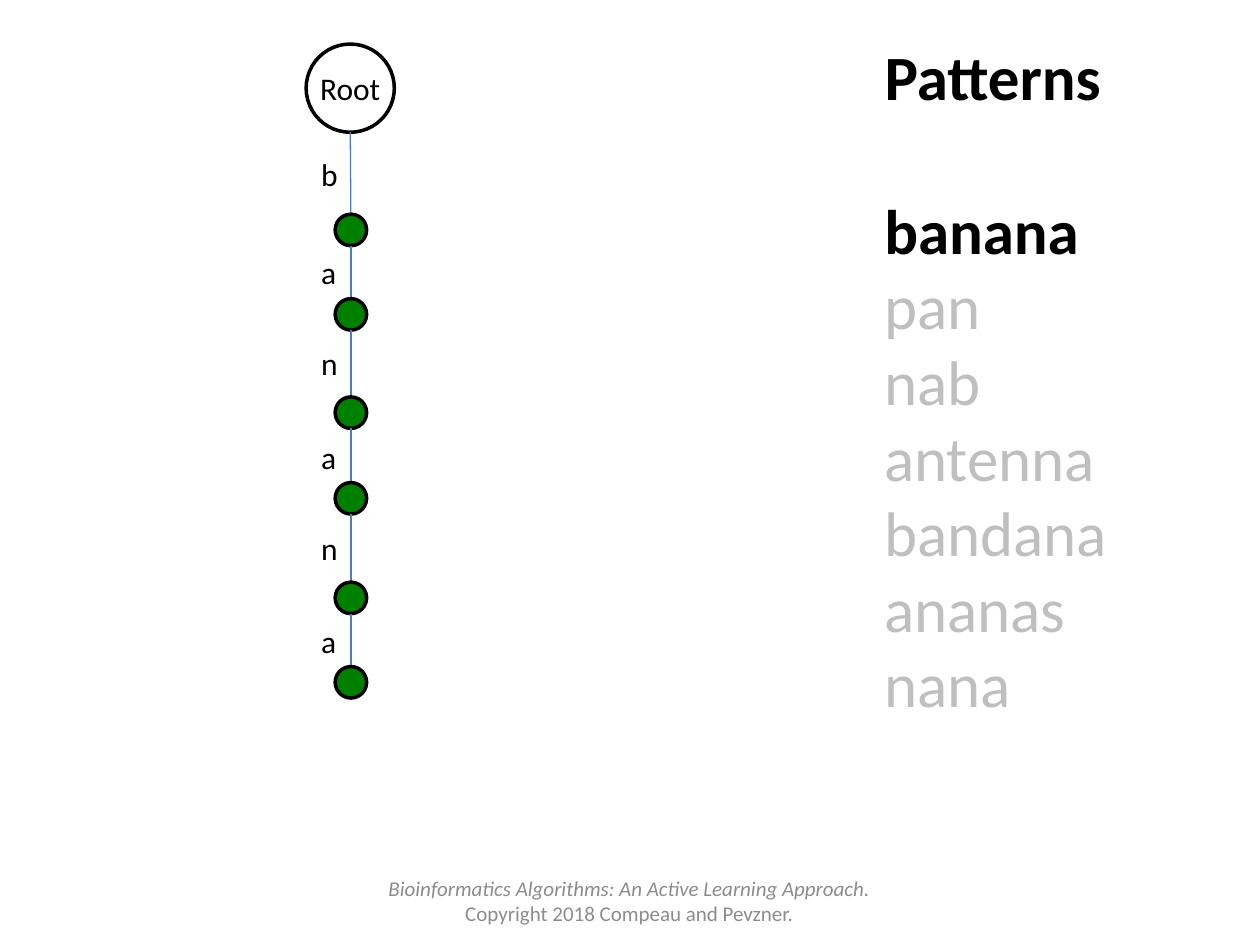
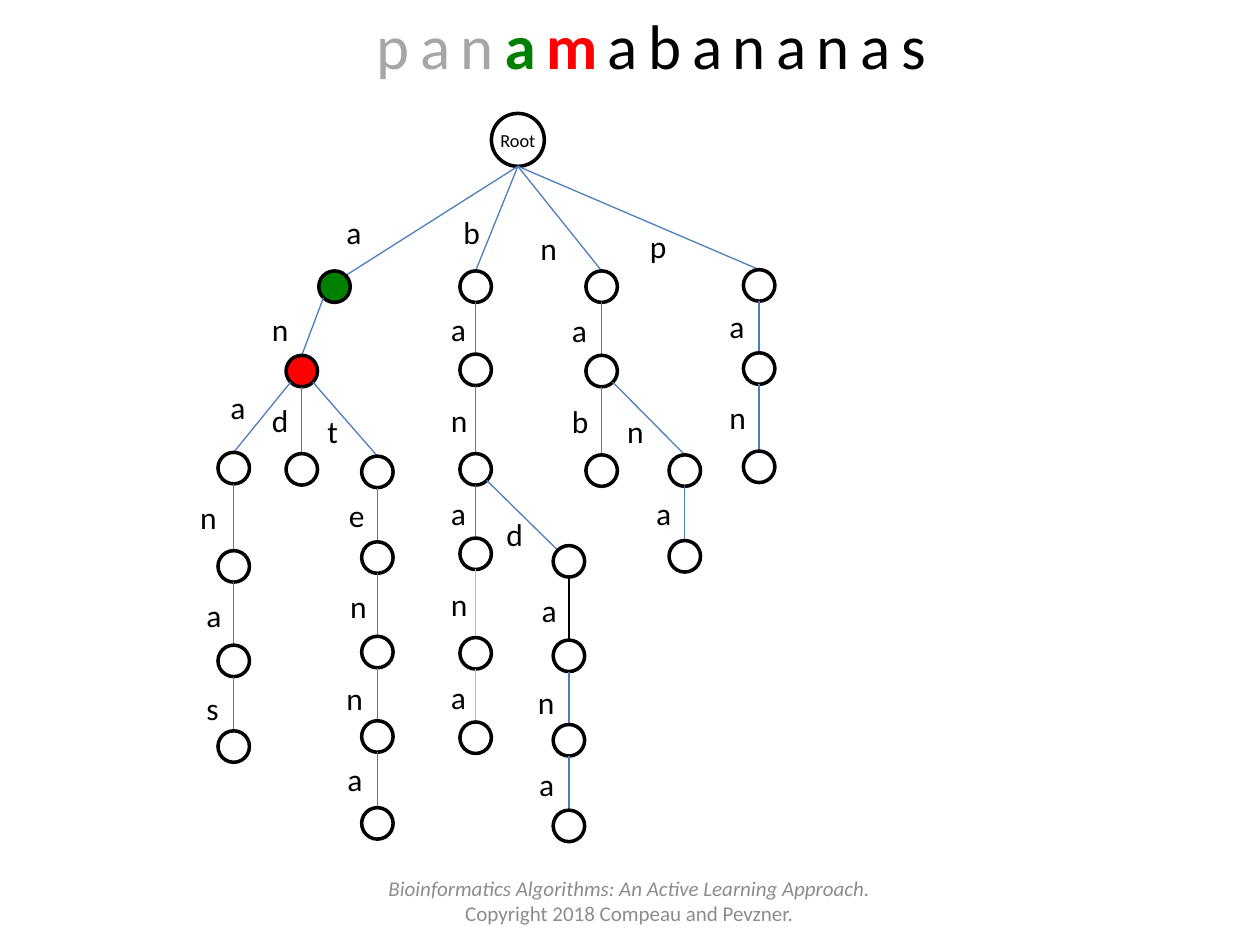
"""Build two slides on matching patterns with a trie."""
from lxml.etree import SubElement
from pptx import Presentation
from pptx.dml.color import RGBColor
from pptx.enum.shapes import MSO_CONNECTOR as Link, MSO_SHAPE as Shape
from pptx.enum.text import MSO_ANCHOR as Anchor, MSO_AUTO_SIZE as Fit, PP_ALIGN as Align
from pptx.oxml.ns import qn
from pptx.util import Cm, Pt

BLACK, WHITE, GREEN, RED = "000000", "FFFFFF", "008000", "FF0000"
BLUE, PALE, GREY, DIM = "4B7EBC", "BFBFBF", "A6A6A6", "8C8C8C"
HEAD = {"size": Pt(36), "bold": False}
BOLD = {"size": Pt(36), "bold": True}
BODY = {"size": Pt(18)}
SMALL = {"size": Pt(10.5)}
NOTE = {"size": Pt(12), "italic": False}
CITE = {"size": Pt(12), "italic": True}

NODE = 0.25
SIDES = {"N": (0, -1), "S": (0, 1), "NE": (0.7, -0.7), "NW": (-0.7, -0.7),
         "SE": (0.7, 0.7), "SW": (-0.7, 0.7)}
JOINS = {"a": ("S", "NE"), "an": ("SW", "N"), "ana": ("SW", "N"),
         "ant": ("SE", "N"), "band": ("SE", "NW"), "nan": ("SE", "N")}

# Each prefix maps to its node's left and top, then its letter's left and top.
PATH = {
    "b": (2.66, 1.7, 2.45, 1.18),
    "ba": (2.66, 2.37, 2.45, 1.96),
    "ban": (2.66, 3.15, 2.45, 2.68),
    "bana": (2.66, 3.83, 2.45, 3.43),
    "banan": (2.66, 4.62, 2.45, 4.15),
    "banana": (2.66, 5.29, 2.45, 4.89),
}
TRIE = {
    "a": (2.53, 2.15, 2.65, 1.64),
    "an": (2.27, 2.82, 2.06, 2.41),
    "and": (2.27, 3.6, 2.06, 3.13),
    "ana": (1.73, 3.59, 1.73, 3.03),
    "anan": (1.73, 4.37, 1.49, 3.9),
    "anana": (1.73, 5.12, 1.54, 4.68),
    "ananas": (1.73, 5.8, 1.54, 5.42),
    "ant": (2.87, 3.62, 2.5, 3.22),
    "ante": (2.87, 4.3, 2.67, 3.89),
    "anten": (2.87, 5.05, 2.68, 4.61),
    "antenn": (2.87, 5.72, 2.65, 5.34),
    "antenna": (2.87, 6.41, 2.66, 5.98),
    "b": (3.65, 2.15, 3.58, 1.64),
    "ba": (3.65, 2.81, 3.48, 2.41),
    "ban": (3.65, 3.6, 3.48, 3.13),
    "bana": (3.65, 4.27, 3.48, 3.87),
    "banan": (3.65, 5.06, 3.48, 4.59),
    "banana": (3.65, 5.73, 3.48, 5.33),
    "band": (4.39, 4.33, 3.92, 4.04),
    "banda": (4.39, 5.08, 4.2, 4.64),
    "bandan": (4.39, 5.75, 4.17, 5.37),
    "bandana": (4.39, 6.43, 4.18, 6.02),
    "n": (4.65, 2.15, 4.19, 1.77),
    "na": (4.65, 2.82, 4.44, 2.42),
    "nab": (4.65, 3.61, 4.44, 3.14),
    "nan": (5.31, 3.61, 4.88, 3.22),
    "nana": (5.31, 4.29, 5.11, 3.87),
    "p": (5.9, 2.14, 5.06, 1.75),
    "pa": (5.9, 2.8, 5.69, 2.39),
    "pan": (5.9, 3.58, 5.69, 3.11),
}


def grid(*nums):
    """Turn grid units of 2.54 cm into lengths."""
    return [Cm(2.54 * num) for num in nums]


def tint(hue):
    """Turn a hex string into a colour."""
    return RGBColor.from_string(hue)


def write(para, text, form, hue=BLACK):
    """Add a run with the given format."""
    run = para.add_run()
    run.text = text
    run.font.name = "Calibri"
    run.font.color.rgb = tint(hue)
    for key, val in form.items():
        setattr(run.font, key, val)
    return run


def add_text(slide, box, lines, align=Align.LEFT, anchor=Anchor.TOP):
    """Add a text box with one paragraph for each line."""
    frame = slide.shapes.add_textbox(*grid(*box)).text_frame
    frame.word_wrap = True
    frame.vertical_anchor = anchor
    for num, line in enumerate(lines):
        para = frame.add_paragraph() if num else frame.paragraphs[0]
        para.alignment = align
        write(para, *line)


def add_title(slide, box, parts, align=Align.LEFT, gap=0):
    """Place the title and fill it with spaced runs."""
    title = slide.shapes.title
    title.left, title.top, title.width, title.height = grid(*box)
    frame = title.text_frame
    frame.auto_size = Fit.NONE
    frame.vertical_anchor = Anchor.TOP
    para = frame.paragraphs[0]
    para.alignment = align
    for part in parts:
        run = write(para, *part)
        if gap:
            run._r.get_or_add_rPr().set("spc", str(gap * 100))


def add_node(slide, left, top, size, fill=WHITE):
    """Add a round node with a black outline."""
    node = slide.shapes.add_shape(Shape.OVAL, *grid(left, top, size, size))
    node.shadow.inherit = False
    node.fill.solid()
    node.fill.fore_color.rgb = tint(fill)
    node.line.color.rgb = tint(BLACK)
    node.line.width = Pt(2)
    return node


def add_root(slide, spot, form):
    """Add the root node with its name inside."""
    frame = add_node(slide, *spot).text_frame
    frame.word_wrap = False
    for side in ("left", "right", "top", "bottom"):
        setattr(frame, f"margin_{side}", 0)
    para = frame.paragraphs[0]
    para.alignment = Align.CENTER
    write(para, "Root", form)


def rim(spot, side):
    """Find the point on a node's edge at a compass side."""
    left, top, size = spot
    half = size / 2
    return [start + half * (1 + step)
            for start, step in zip((left, top), SIDES[side])]


def add_edge(slide, start, end, hue=BLUE):
    """Add a thin straight line."""
    edge = slide.shapes.add_connector(Link.STRAIGHT, *grid(*start, *end))
    edge.line.color.rgb = tint(hue)
    edge.line.width = Pt(0.75)
    SubElement(edge._element.spPr, qn("a:effectLst"))


def add_trie(slide, root, form, nodes, fills, hues):
    """Draw the root and each prefix with its edge and letter."""
    add_root(slide, root, form)
    spots = {"": root}
    for name, (left, top, *mark) in nodes.items():
        spots[name] = (left, top, NODE)
        exit, entry = JOINS.get(name, ("S", "N"))
        add_edge(slide, rim(spots[name[:-1]], exit),
                 rim(spots[name], entry), hues.get(name, BLUE))
        add_node(slide, *spots[name], fills.get(name, WHITE))
        add_text(slide, (*mark, 0.34, 0.4), [(name[-1], BODY)])


def add_foot(slide):
    """Add the source lines at the foot."""
    add_text(slide, (2.83, 6.95, 4.33, 0.4),
             [("Bioinformatics Algorithms: An Active Learning Approach.", CITE, DIM),
              ("Copyright 2018 Compeau and Pevzner.", NOTE, DIM)],
             Align.CENTER, Anchor.MIDDLE)


def add_list(deck):
    """Build the slide with the patterns and the first path."""
    slide = deck.slides.add_slide(deck.slide_layouts[5])
    add_title(slide, (6.92, 0.25, 2.67, 0.71), [("Patterns", BOLD)])
    rest = ("pan", "nab", "antenna", "bandana", "ananas", "nana")
    add_text(slide, (6.92, 1.47, 2.67, 4.33),
             [("banana", BOLD)] + [(word, HEAD, PALE) for word in rest])
    add_trie(slide, (2.43, 0.35, 0.7), BODY, PATH,
             dict.fromkeys(PATH, GREEN), {})
    add_foot(slide)


def add_match(deck):
    """Build the slide with the text matched against the full trie."""
    slide = deck.slides.add_slide(deck.slide_layouts[5])
    add_title(slide, (2.67, 0, 5, 0.71),
              [("pan", HEAD, GREY), ("a", BOLD, GREEN),
               ("m", BOLD, RED), ("abananas", HEAD)], Align.CENTER, 6)
    add_trie(slide, (3.9, 0.9, 0.42), SMALL, TRIE,
             {"a": GREEN, "an": RED},
             {"banan": PALE, "banana": PALE, "banda": BLACK})
    add_foot(slide)


def main():
    """Build and save the deck."""
    deck = Presentation()
    deck.slide_width, deck.slide_height = grid(10, 7.5)
    add_list(deck)
    add_match(deck)
    deck.save("out.pptx")


if __name__ == "__main__":
    main()
